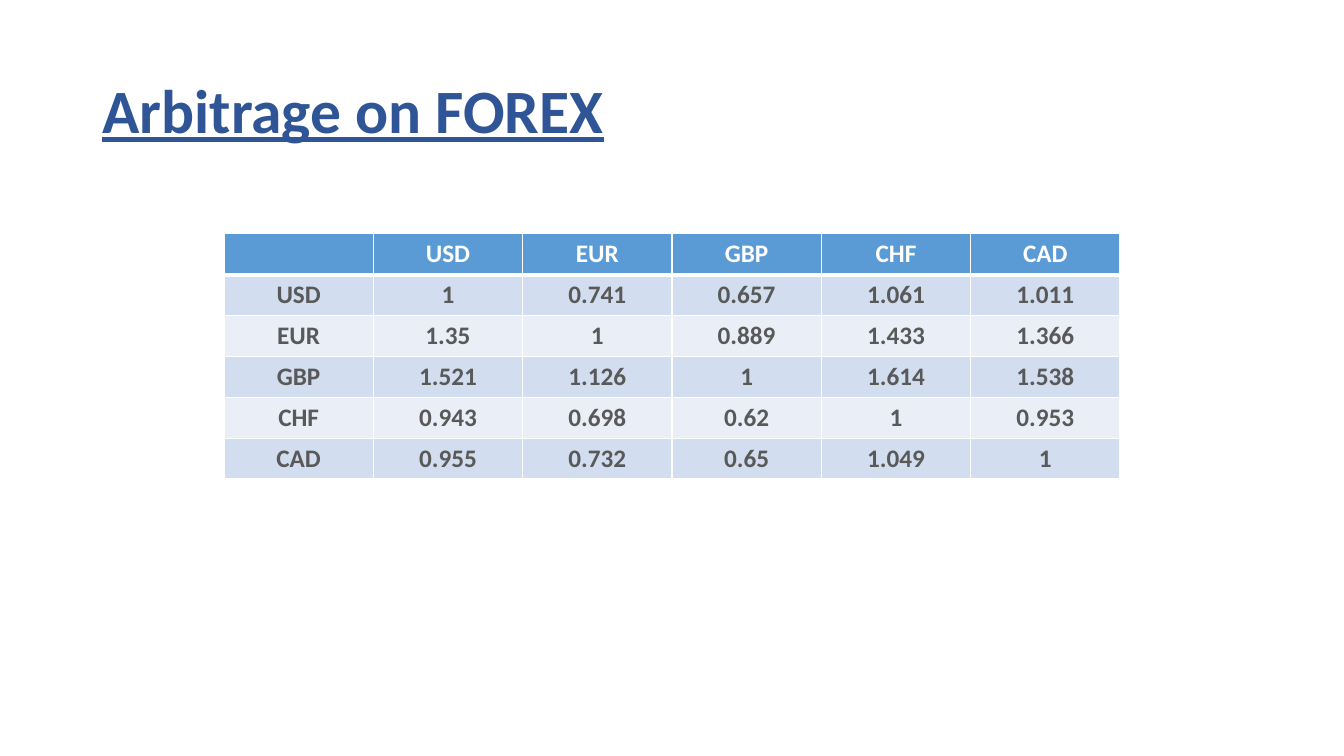
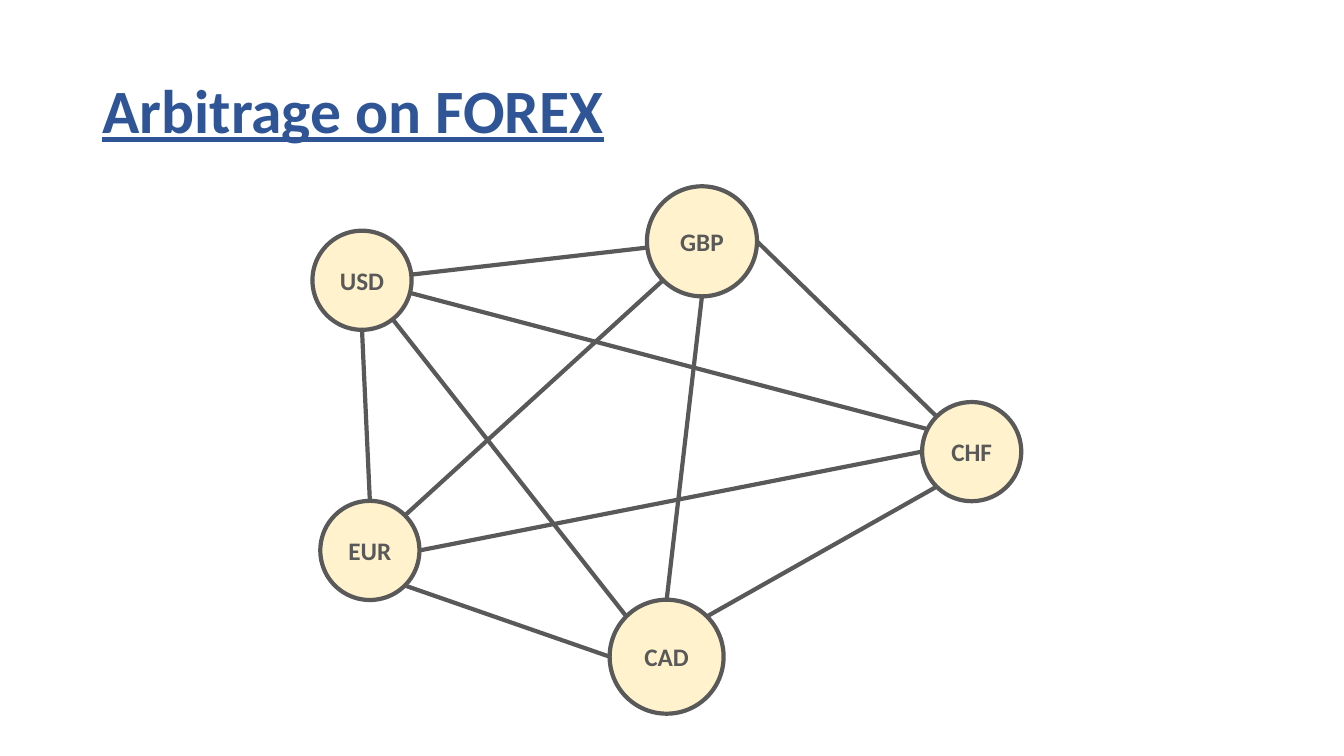
from dataclasses import dataclass
from math import cos, radians, sin

from lxml.etree import SubElement
from pptx import Presentation
from pptx.dml.color import RGBColor
from pptx.enum.shapes import MSO_CONNECTOR, MSO_SHAPE
from pptx.enum.text import MSO_ANCHOR, MSO_AUTO_SIZE, PP_ALIGN
from pptx.oxml.ns import qn
from pptx.util import Pt


@dataclass(frozen=True)
class Theme:
    font: str = "Calibri"
    title_size: int = 44
    label_size: int = 18
    title: str = "2F5597"
    ink: str = "595959"
    white: str = "FFFFFF"
    header: str = "5B9BD5"
    bands: tuple = ("D2DEEF", "EAEFF7")
    node: str = "FFF2CC"
    stroke: float = 3
    rule: float = 1


@dataclass(frozen=True)
class Node:
    x: float
    y: float
    diameter: float

    def site(self, angle):
        if angle is None:
            return self.x, self.y
        radius = self.diameter / 2
        return (self.x + radius * cos(radians(angle)),
                self.y + radius * sin(radians(angle)))


class Deck:
    def __init__(self, theme):
        self.theme = theme
        self.presentation = Presentation()
        self.presentation.slide_width = Pt(960)
        self.presentation.slide_height = Pt(540)
        self.slide = None

    def add_slide(self, heading):
        layout = self.presentation.slide_layouts[5]
        self.slide = self.presentation.slides.add_slide(layout)
        title = self.slide.shapes.title
        title.left, title.top, title.width, title.height = Pt(66), Pt(28.8), Pt(828), Pt(104.4)
        frame = title.text_frame
        frame.text = heading
        frame.word_wrap = True
        frame.auto_size = MSO_AUTO_SIZE.NONE
        frame.vertical_anchor = MSO_ANCHOR.MIDDLE
        frame.paragraphs[0].line_spacing = 0.9
        self.style_text(frame, self.theme.title_size, self.theme.title, PP_ALIGN.LEFT)
        frame.paragraphs[0].runs[0].font.underline = True

    def style_text(self, frame, size, color, align=PP_ALIGN.CENTER):
        for paragraph in frame.paragraphs:
            paragraph.alignment = align
            for run in paragraph.runs:
                run.font.name = self.theme.font
                run.font.size = Pt(size)
                run.font.bold = True
                run.font.color.rgb = RGBColor.from_string(color)

    def add_table(self, rows, left, top, column_width, row_height):
        columns = len(rows[0])
        table = self.slide.shapes.add_table(
            len(rows), columns, Pt(left), Pt(top),
            Pt(column_width * columns), Pt(row_height * len(rows))).table
        for column in table.columns:
            column.width = Pt(column_width)
        for index, values in enumerate(rows):
            table.rows[index].height = Pt(row_height)
            for cell, value in zip(table.rows[index].cells, values):
                self.fill_cell(cell, value, index)

    def fill_cell(self, cell, value, row):
        theme = self.theme
        cell.text = value
        self.style_text(cell.text_frame, theme.label_size, theme.ink if row else theme.white)
        self.add_border(cell, "L", theme.rule)
        self.add_border(cell, "R", theme.rule)
        self.add_border(cell, "T", theme.stroke if row == 1 else theme.rule)
        self.add_border(cell, "B", theme.rule if row else theme.stroke)
        cell.fill.solid()
        fill = theme.bands[(row - 1) % 2] if row else theme.header
        cell.fill.fore_color.rgb = RGBColor.from_string(fill)

    def add_border(self, cell, side, width):
        properties = cell._tc.get_or_add_tcPr()
        border = SubElement(properties, qn("a:ln" + side), w=str(Pt(width)))
        fill = SubElement(border, qn("a:solidFill"))
        SubElement(fill, qn("a:srgbClr"), val=self.theme.white)

    def add_node(self, label, node):
        radius = node.diameter / 2
        circle = self.slide.shapes.add_shape(
            MSO_SHAPE.OVAL, Pt(node.x - radius), Pt(node.y - radius),
            Pt(node.diameter), Pt(node.diameter))
        circle.shadow.inherit = False
        circle.fill.solid()
        circle.fill.fore_color.rgb = RGBColor.from_string(self.theme.node)
        self.style_line(circle.line)
        frame = circle.text_frame
        frame.text = label
        frame.word_wrap = False
        frame.vertical_anchor = MSO_ANCHOR.MIDDLE
        self.style_text(frame, self.theme.label_size, self.theme.ink)

    def add_edge(self, start, end):
        edge = self.slide.shapes.add_connector(
            MSO_CONNECTOR.STRAIGHT, *(Pt(length) for length in (*start, *end)))
        self.style_line(edge.line)
        SubElement(edge._element.spPr, qn("a:effectLst"))

    def style_line(self, line):
        line.color.rgb = RGBColor.from_string(self.theme.ink)
        line.width = Pt(self.theme.stroke)


HEADING = "Arbitrage on FOREX"
CURRENCIES = ["USD", "EUR", "GBP", "CHF", "CAD"]
RATES = [
    ["1", "0.741", "0.657", "1.061", "1.011"],
    ["1.35", "1", "0.889", "1.433", "1.366"],
    ["1.521", "1.126", "1", "1.614", "1.538"],
    ["0.943", "0.698", "0.62", "1", "0.953"],
    ["0.955", "0.732", "0.65", "1.049", "1"],
]
NODES = {
    "USD": Node(258.6, 200.2, 70.8),
    "EUR": Node(264.2, 393.2, 70.8),
    "CHF": Node(694.1, 322.6, 70.8),
    "CAD": Node(476.2, 469.1, 81.4),
    "GBP": Node(501.4, 172.4, 78.6),
}
CENTER = None
E, SE, S, SW, W, NW, N, NE = range(0, 360, 45)
SPOKES = [
    ("CAD", NW, "USD", CENTER),
    ("CHF", 207, "USD", CENTER),
    ("GBP", CENTER, "USD", CENTER),
]
EDGES = [
    ("EUR", NE, "GBP", SW),
    ("EUR", E, "CHF", W),
    ("EUR", SE, "CAD", W),
    ("EUR", N, "USD", S),
    ("CHF", NW, "GBP", E),
    ("CAD", NE, "CHF", SW),
    ("CAD", N, "GBP", S),
]


def connect(deck, links):
    for source, source_angle, target, target_angle in links:
        deck.add_edge(NODES[source].site(source_angle), NODES[target].site(target_angle))


deck = Deck(Theme())

deck.add_slide(HEADING)
rate_rows = [["", *CURRENCIES]]
rate_rows += [[currency, *rates] for currency, rates in zip(CURRENCIES, RATES)]
deck.add_table(rate_rows, left=160, top=167, column_width=106.67, row_height=29.2)

deck.add_slide(HEADING)
connect(deck, SPOKES)
for currency, node in NODES.items():
    deck.add_node(currency, node)
connect(deck, EDGES)

deck.presentation.save("out.pptx")
